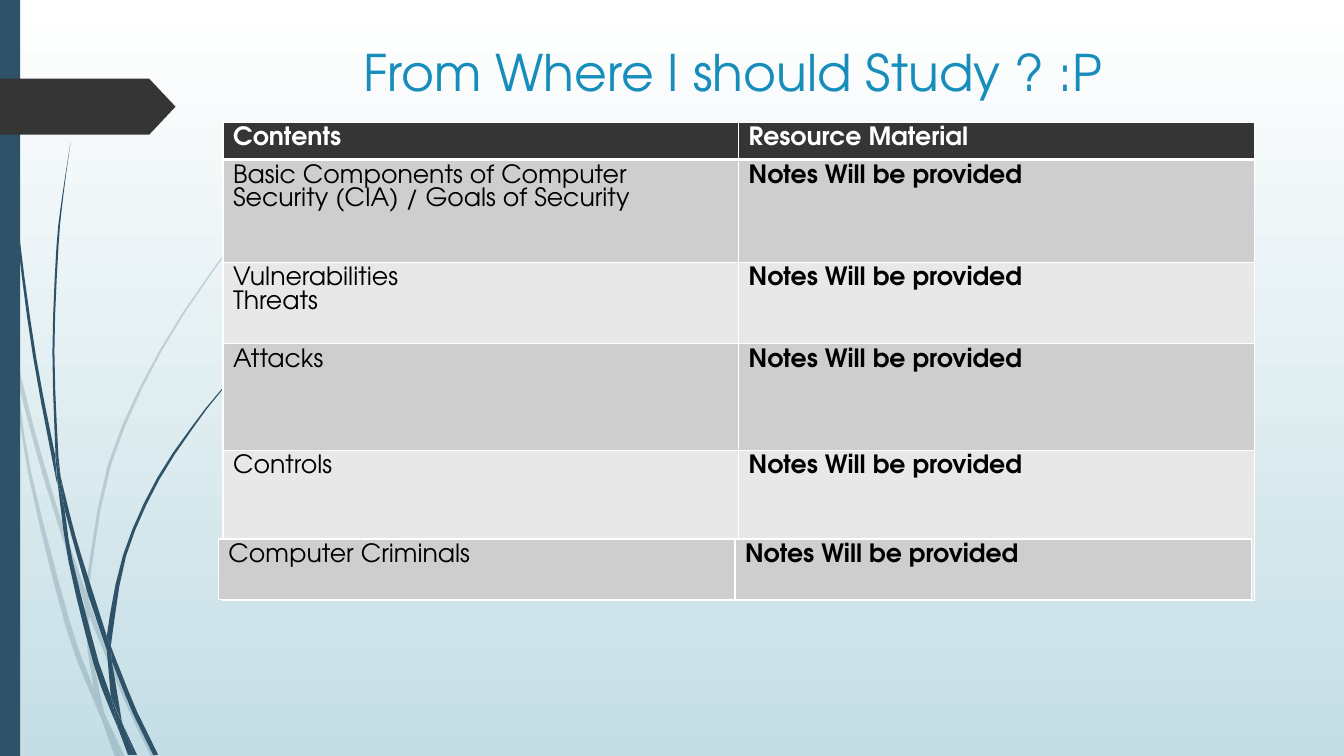
"""Builds the study resources slide with its wisp decoration and two tables."""
from dataclasses import dataclass
from math import dist

from lxml import etree
from pptx import Presentation
from pptx import util as u
from pptx.dml.color import RGBColor
from pptx.enum import shapes, text
from pptx.oxml import ns


@dataclass(frozen=True)
class Theme:
    font: str = "TeX Gyre Adventor"
    title_size: int = 36
    cell_size: int = 18
    title: str = "178DBB"
    navy: str = "2E5369"
    dark: str = "353535"
    black: str = "000000"
    white: str = "FFFFFF"
    sky: str = "C5DEE5"
    bands: tuple = ("CECECE", "E8E8E8")


WISP_UNIT = 0.72
PALE_WISPS = [
    ([(0, 282), (9, 322), (11, 350)], [(10, 344), (0, 299)]),
    ([(14, 345), (36, 433), (62, 520), (85, 586)],
     [(84, 599), (58, 522), (36, 449), (17, 376)]),
    ([(88, 596), (92, 607), (127, 692), (155, 751)],
     [(150, 751), (123, 694), (88, 610)]),
    ([(105, 711), (124, 751)], [(119, 751)]),
    ([(11, 350), (17, 376), (31, 469), (70, 619), (93, 683), (99, 707), (101, 714)],
     [(92, 693), (65, 621), (28, 470), (11, 350)]),
    ([(84, 599), (88, 608), (88, 610), (91, 646), (103, 706), (105, 711)],
     [(96, 692), (93, 683), (87, 646), (84, 599)]),
    ([(312, 153), (289, 175), (268, 197), (228, 244), (158, 348), (107, 461),
      (85, 584), (85, 586)],
     [(88, 596), (88, 584), (110, 462), (160, 349), (229, 245), (268, 198),
      (290, 175), (312, 154)]),
    ([(101, 714), (119, 751)], [(114, 751)]),
    ([(85, 586), (88, 596), (88, 610)], [(88, 608), (84, 599)]),
    ([(93, 683), (96, 692), (105, 711), (119, 751)], [(101, 714), (99, 707)]),
]
DARK_WISPS = [
    ([(3, 0), (4, 48), (7, 110), (17, 233), (33, 355), (56, 477), (57, 481)],
     [(55, 457), (55, 453), (36, 355), (19, 232), (8, 109), (5, 48), (4, 0)]),
    ([(60, 472), (75, 532), (93, 590), (106, 631), (106, 645)],
     [(88, 592), (64, 505), (60, 472)]),
    ([(110, 641), (113, 649), (136, 706), (157, 749)],
     [(152, 749), (132, 708), (111, 656)]),
    ([(57, 477), (64, 505), (72, 556), (98, 657), (110, 691), (116, 717), (117, 722)],
     [(111, 708), (93, 659), (68, 557), (57, 477)]),
    ([(70, 141), (63, 193), (58, 245), (54, 349), (58, 453), (60, 472)],
     [(55, 449), (52, 349), (56, 245), (62, 193), (70, 141)]),
    ([(122, 719), (136, 749)], [(133, 749)]),
    ([(55, 449), (60, 472), (64, 505)], [(57, 477), (55, 453)]),
    ([(260, 344), (245, 358), (231, 373), (204, 405), (156, 474), (122, 551),
      (106, 631), (110, 641)],
     [(111, 633), (125, 552), (158, 476), (205, 406), (231, 374), (245, 359),
      (261, 344)]),
    ([(117, 722), (131, 749)], [(127, 749)]),
    ([(106, 645), (110, 691), (122, 719)], [(121, 716), (111, 656), (109, 651)]),
    ([(106, 631), (110, 641), (111, 656)], [(106, 645)]),
    ([(110, 691), (116, 706), (122, 719), (133, 749)],
     [(130, 749), (117, 722), (116, 717)]),
]
NOTES = "Notes Will be provided"
TOPICS = [
    "Basic Components of Computer\nSecurity (CIA) / Goals of Security",
    "Vulnerabilities\nThreats",
    "Attacks",
    "Controls",
]


def smooth(knots):
    """Return points on a Catmull-Rom curve, dividing only its long spans."""
    padded = [knots[0], *knots, knots[-1]]
    points = []
    for a, b, c, d in zip(padded, padded[1:], padded[2:], padded[3:]):
        steps = 3 if dist(b, c) > 50 else 1
        for i in range(steps):
            t = i / steps
            points.append(tuple(
                q + t / 2 * (r - p + t * (2 * p - 5 * q + 4 * r - v
                                          + t * (3 * (q - r) + v - p)))
                for p, q, r, v in zip(a, b, c, d)))
    return points + [knots[-1]]


class Deck:
    """Holds the theme and the current slide."""

    def __init__(self, prs, theme):
        self.theme = theme
        self.s = prs.slides.add_slide(prs.slide_layouts[5])

    def background(self, top, bottom):
        """Fill the slide with a vertical gradient."""
        fill = self.s.background.fill
        fill.gradient()
        fill.gradient_angle = 270
        for stop, color, position in zip(fill.gradient_stops, (top, bottom), (0, 1)):
            stop.color.rgb = RGBColor.from_string(color)
            stop.position = position

    def paint(self, sp, color, alpha=None):
        """Give a shape a flat fill without line or shadow."""
        sp.shadow.inherit = False
        sp.line.fill.background()
        sp.fill.solid()
        sp.fill.fore_color.rgb = RGBColor.from_string(color)
        if alpha:
            clr = sp.fill._xPr.find(ns.qn("a:solidFill"))[0]
            etree.SubElement(clr, ns.qn("a:alpha"), val=str(alpha * 1000))

    def shape(self, kind, x, y, w, h, color):
        """Add a preset shape."""
        sp = self.s.shapes.add_shape(kind, u.Pt(x), u.Pt(y), u.Pt(w), u.Pt(h))
        self.paint(sp, color)
        return sp

    def wisp(self, edges, alpha=None):
        """Add a strand piece bounded by two smooth edges."""
        unit = u.Pt(1) * WISP_UNIT
        start, *rest = [(x * unit, y * unit) for edge in edges for x, y in smooth(edge)]
        builder = self.s.shapes.build_freeform(*start)
        builder.add_line_segments(rest, close=True)
        self.paint(builder.convert_to_shape(), self.theme.navy, alpha)

    def style(self, p, size, color, bold=False):
        """Format the runs of a paragraph."""
        for r in p.runs:
            r.font.name = self.theme.font
            r.font.size = u.Pt(size)
            r.font.bold = bold
            r.font.color.rgb = RGBColor.from_string(color)

    def title(self, words, x, y, w, h):
        """Fill and place the title placeholder in front of the decoration."""
        sp = self.s.shapes.title
        self.s.shapes._spTree.append(sp._element)
        sp.left, sp.top, sp.width, sp.height = map(u.Pt, (x, y, w, h))
        tf = sp.text_frame
        tf.text = words
        tf.vertical_anchor = text.MSO_ANCHOR.TOP
        tf.paragraphs[0].alignment = text.PP_ALIGN.CENTER
        self.style(tf.paragraphs[0], self.theme.title_size, self.theme.title)

    def cell(self, cell, words, fill, color, bold, bottom):
        """Fill one table cell and draw its borders."""
        cell.fill.solid()
        cell.fill.fore_color.rgb = RGBColor.from_string(fill)
        cell.text_frame.text = words
        for p in cell.text_frame.paragraphs:
            self.style(p, self.theme.cell_size, color, bold)
        tc_pr = cell._tc.get_or_add_tcPr()
        for i, (side, width) in enumerate(zip("LRTB", (1, 1, 1, bottom))):
            ln = etree.Element(ns.qn(f"a:ln{side}"), w=str(u.Pt(width)))
            solid = etree.SubElement(ln, ns.qn("a:solidFill"))
            etree.SubElement(solid, ns.qn("a:srgbClr"), val=self.theme.white)
            tc_pr.insert(i, ln)

    def table(self, x, y, col_width, heights, rows, header=False):
        """Add a two-column banded table."""
        frame = self.s.shapes.add_table(len(rows), 2, u.Pt(x), u.Pt(y),
                                        u.Pt(2 * col_width), u.Pt(sum(heights)))
        tbl = frame.table
        tbl.first_row = header
        for col in tbl.columns:
            col.width = u.Pt(col_width)
        for i, (height, row) in enumerate(zip(heights, rows)):
            tbl.rows[i].height = u.Pt(height)
            head = header and i == 0
            fill = self.theme.dark if head else self.theme.bands[(i - header) % 2]
            color = self.theme.white if head else self.theme.black
            for j, words in enumerate(row):
                self.cell(tbl.cell(i, j), words, fill, color, head or j == 1,
                          3 if head else 1)


def main():
    """Build and save the slide."""
    prs = Presentation()
    prs.slide_width, prs.slide_height = u.Pt(960), u.Pt(540)
    theme = Theme()
    deck = Deck(prs, theme)
    deck.background(theme.white, theme.sky)
    for wisps, alpha in ((PALE_WISPS, 20), (DARK_WISPS, None)):
        for edges in wisps:
            deck.wisp(edges, alpha)
    deck.shape(shapes.MSO_SHAPE.RECTANGLE, 0, 0, 14.4, 540, theme.navy)
    tag = deck.shape(shapes.MSO_SHAPE.PENTAGON, 0, 56.2, 125.4, 40, theme.dark)
    tag.adjustments[0] = 0.47
    deck.title("From Where I should Study ? :P ", 156.3, 26, 744.5, 101)
    rows = [("Contents", "Resource Material"), *((topic, NOTES) for topic in TOPICS)]
    deck.table(159.3, 87.3, 368.3, [26.6, 73.4, 58, 76.3, 107.3], rows, header=True)
    deck.table(156, 385, 369, [43], [("Computer Criminals", NOTES)])
    prs.save("out.pptx")


if __name__ == "__main__":
    main()
